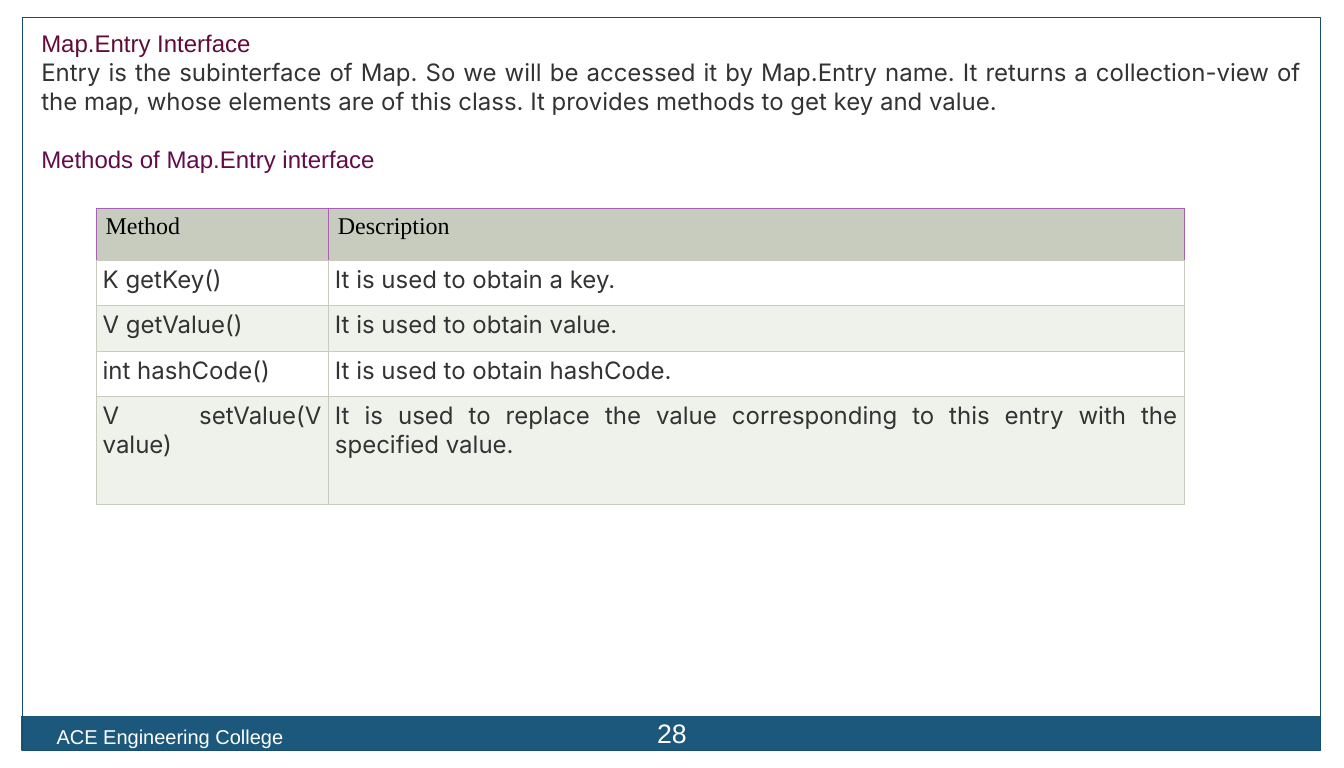
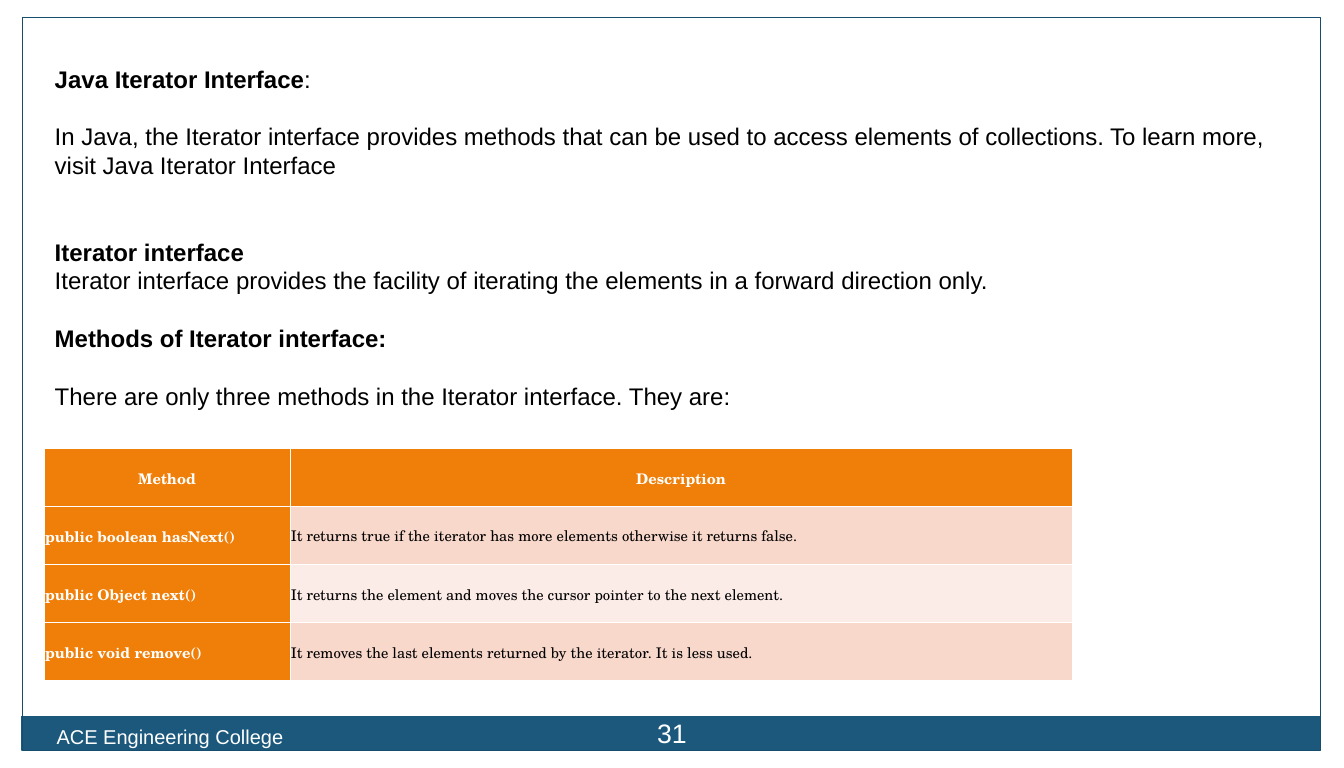
from dataclasses import dataclass, field, replace

from lxml import etree
from pptx import Presentation
from pptx.dml.color import RGBColor
from pptx.enum.shapes import MSO_SHAPE as Shape
from pptx.enum.text import MSO_ANCHOR as Anchor, MSO_AUTO_SIZE as AutoSize, PP_ALIGN as Align
from pptx.oxml.ns import qn
from pptx.util import Inches, Pt

WHITE = RGBColor(0xFF, 0xFF, 0xFF)
BLACK = RGBColor(0x00, 0x00, 0x00)
BAND_BLUE = RGBColor(0x1B, 0x58, 0x7C)
FRAME_BLUE = RGBColor(0x16, 0x4C, 0x6C)
MAROON = RGBColor(0x61, 0x0B, 0x38)
PLUM = RGBColor(0x61, 0x0B, 0x4B)
DARK_GREY = RGBColor(0x33, 0x33, 0x33)
SAGE = RGBColor(0xC7, 0xCC, 0xBE)
PALE_SAGE = RGBColor(0xEF, 0xF1, 0xEB)
VIOLET = RGBColor(0xA8, 0x60, 0xB7)
ORANGE = RGBColor(0xF0, 0x7F, 0x09)
PEACH = RGBColor(0xF9, 0xD8, 0xCC)
PALE_PEACH = RGBColor(0xFC, 0xEC, 0xE7)

BLANK_LINE = 21.6
SIDES = ("L", "R", "T", "B")


@dataclass
class TextStyle:
    font: str = "Arial"
    size: float = 18
    color: RGBColor = BLACK
    bold: bool = False
    align: Align = Align.LEFT
    line_spacing: float = 1.0
    space_after: float = 0


@dataclass
class CellStyle:
    """Look of one table cell; borders maps a side to (colour, points)."""
    text: TextStyle
    fill: RGBColor
    borders: dict = field(default_factory=dict)
    margin: float = 0.1
    anchor: Anchor = Anchor.TOP


def all_borders(color, width):
    return {side: (color, width) for side in SIDES}


class Deck:
    def __init__(self):
        self.presentation = Presentation()
        self.presentation.slide_width = Inches(14)
        self.presentation.slide_height = Inches(8)
        self.slide = None

    def add_slide(self, number):
        layout = self.presentation.slide_layouts[1]
        self.slide = self.presentation.slides.add_slide(layout)
        self.rectangle(0, 0, 14, 0.18, fill=WHITE)
        for edge in (13.77, 0):
            self.rectangle(edge, 0, 0.23, 8, fill=WHITE)
        self.rectangle(0.22, 7.46, 13.53, 0.36, fill=BAND_BLUE)
        self.rectangle(0.23, 0.18, 13.53, 7.64, line=FRAME_BLUE)
        self.label("ACE Engineering College", 0.46, 7.49, 5.48, 0.43,
                   TextStyle(size=15, color=WHITE), 0.13, Anchor.TOP)
        self.label(str(number), 6.53, 7.38, 0.94, 0.51,
                   TextStyle(size=20, color=WHITE, align=Align.CENTER), 0.06, Anchor.MIDDLE)

    def rectangle(self, left, top, width, height, fill=None, line=None):
        shape = self.slide.shapes.add_shape(
            Shape.RECTANGLE, Inches(left), Inches(top), Inches(width), Inches(height))
        shape.shadow.inherit = False
        if fill is None:
            shape.fill.background()
        else:
            shape.fill.solid()
            shape.fill.fore_color.rgb = fill
        if line is None:
            shape.line.fill.background()
        else:
            shape.line.color.rgb = line
            shape.line.width = Pt(0.75)

    def label(self, text, left, top, width, height, style, side_margin, anchor):
        box = self.slide.shapes.add_textbox(
            Inches(left), Inches(top), Inches(width), Inches(height))
        frame = box.text_frame
        self.set_frame(frame, side_margin, 0.06, anchor)
        frame.text = text
        self.format(frame.paragraphs[0], style)

    def title(self, text, left, top, width, style, plain_ending=""):
        shape = self.slide.shapes.title
        self.place(shape, left, top, width, 0.4)
        paragraph = shape.text_frame.paragraphs[0]
        paragraph.text = text
        self.format(paragraph, style)
        if plain_ending:
            run = paragraph.add_run()
            run.text = plain_ending
            self.set_font(run.font, replace(style, bold=False))

    def body(self, lines, left, top, width, height):
        """Fill the body with (text, style, blank lines before) entries."""
        shape = self.slide.placeholders[1]
        self.place(shape, left, top, width, height)
        frame = shape.text_frame
        for index, (text, style, gap) in enumerate(lines):
            paragraph = frame.add_paragraph() if index else frame.paragraphs[0]
            paragraph.text = text
            properties = paragraph._p.get_or_add_pPr()
            properties.set("marL", "0")
            properties.set("indent", "0")
            etree.SubElement(properties, qn("a:buNone"))
            self.format(paragraph, style, gap * BLANK_LINE)

    def table(self, left, top, widths, heights, rows, cell_style):
        """Draw rows; cell_style(row, column) gives each cell's look."""
        frame = self.slide.shapes.add_table(
            len(rows), len(widths), Inches(left), Inches(top),
            Inches(sum(widths)), Inches(sum(heights)))
        table = frame.table
        table.first_row = table.horz_banding = False
        for column, width in zip(table.columns, widths):
            column.width = Inches(width)
        for row, height in zip(table.rows, heights):
            row.height = Inches(height)
        for row_index, texts in enumerate(rows):
            for column_index, text in enumerate(texts):
                self.fill_cell(table.cell(row_index, column_index), text,
                               cell_style(row_index, column_index))

    def fill_cell(self, cell, text, style):
        cell.text = text
        cell.margin_left = cell.margin_right = Inches(style.margin)
        cell.margin_top = cell.margin_bottom = Inches(0.05)
        cell.vertical_anchor = style.anchor
        properties = cell._tc.get_or_add_tcPr()
        for side in SIDES:
            color, width = style.borders[side]
            line = etree.SubElement(properties, qn(f"a:ln{side}"), w=str(int(Pt(width))))
            fill = etree.SubElement(line, qn("a:solidFill"))
            etree.SubElement(fill, qn("a:srgbClr"), val=str(color))
        cell.fill.solid()
        cell.fill.fore_color.rgb = style.fill
        self.format(cell.text_frame.paragraphs[0], style.text)

    def place(self, shape, left, top, width, height):
        shape.left, shape.top = Inches(left), Inches(top)
        shape.width, shape.height = Inches(width), Inches(height)
        self.set_frame(shape.text_frame, 0.1, 0.05, Anchor.TOP)

    @staticmethod
    def set_frame(frame, side_margin, end_margin, anchor):
        frame.word_wrap = True
        frame.auto_size = AutoSize.NONE
        frame.vertical_anchor = anchor
        frame.margin_left = frame.margin_right = Inches(side_margin)
        frame.margin_top = frame.margin_bottom = Inches(end_margin)

    def format(self, paragraph, style, space_before=0):
        paragraph.alignment = style.align
        paragraph.line_spacing = style.line_spacing
        paragraph.space_before = Pt(space_before)
        paragraph.space_after = Pt(style.space_after)
        for run in paragraph.runs:
            self.set_font(run.font, style)

    @staticmethod
    def set_font(font, style):
        font.name = style.font
        font.size = Pt(style.size)
        font.bold = style.bold
        font.color.rgb = style.color


def entry_cell(row, column):
    if row == 0:
        borders = {**all_borders(VIOLET, 0.28), "B": (SAGE, 0.28)}
        return CellStyle(TextStyle("Times New Roman"), SAGE, borders)
    text = TextStyle("Inter", color=DARK_GREY, align=Align.JUSTIFY)
    fill = WHITE if row % 2 else PALE_SAGE
    return CellStyle(text, fill, all_borders(SAGE, 0.28), margin=0.07)


def iterator_cell(row, column):
    borders = all_borders(WHITE, 0.45)
    if row < 2:
        borders["T" if row else "B"] = (WHITE, 1.47)
    text = TextStyle("TeX Gyre Schola", 11, WHITE, True, line_spacing=1.07, space_after=8)
    fill = ORANGE
    if row == 0:
        text = replace(text, align=Align.CENTER)
    elif column > 0:
        text = replace(text, color=BLACK, bold=False)
        fill = PEACH if row % 2 else PALE_PEACH
    return CellStyle(text, fill, borders, 0.01, Anchor.MIDDLE)


def add_entry_slide(deck):
    deck.add_slide(28)
    heading = TextStyle(color=MAROON, align=Align.JUSTIFY)
    deck.title("Map.Entry Interface", 0.33, 0.25, 13.33, heading)
    deck.body([
        ("Entry is the subinterface of Map. So we will be accessed it by Map.Entry name. "
         "It returns a collection-view of the map, whose elements are of this class. "
         "It provides methods to get key and value.",
         replace(heading, font="Inter", color=DARK_GREY), 0),
        ("Methods of Map.Entry interface", replace(heading, color=PLUM), 1),
    ], 0.33, 0.55, 13.33, 1.5)
    deck.table(1, 2.17, [2.42, 8.92], [0.54, 0.47, 0.48, 0.47, 1.12], [
        ("Method", "Description"),
        ("K getKey()", "It is used to obtain a key."),
        ("V getValue()", "It is used to obtain value."),
        ("int hashCode()", "It is used to obtain hashCode."),
        ("V setValue(V value)", "It is used to replace the value corresponding to this "
                                "entry with the specified value."),
    ], entry_cell)


def add_iterator_slide(deck):
    deck.add_slide(31)
    plain = TextStyle()
    heading = TextStyle(bold=True)
    deck.title("Java Iterator Interface", 0.47, 0.62, 13.28, heading, plain_ending=":")
    deck.body([
        ("In Java, the Iterator interface provides methods that can be used to access "
         "elements of collections. To learn more, visit Java Iterator Interface", plain, 0),
        ("Iterator interface", heading, 2),
        ("Iterator interface provides the facility of iterating the elements in a "
         "forward direction only.", plain, 0),
        ("Methods of Iterator interface:", heading, 1),
        ("There are only three methods in the Iterator interface. They are:", plain, 1),
    ], 0.47, 1.22, 13.28, 3.3)
    deck.table(0.46, 4.67, [2.56, 8.15], [2.42 / 4] * 4, [
        ("Method", "Description"),
        ("public boolean hasNext()",
         "It returns true if the iterator has more elements otherwise it returns false."),
        ("public Object next()",
         "It returns the element and moves the cursor pointer to the next element."),
        ("public void remove()",
         "It removes the last elements returned by the iterator. It is less used."),
    ], iterator_cell)


def main():
    deck = Deck()
    add_entry_slide(deck)
    add_iterator_slide(deck)
    deck.presentation.save("out.pptx")


if __name__ == "__main__":
    main()
